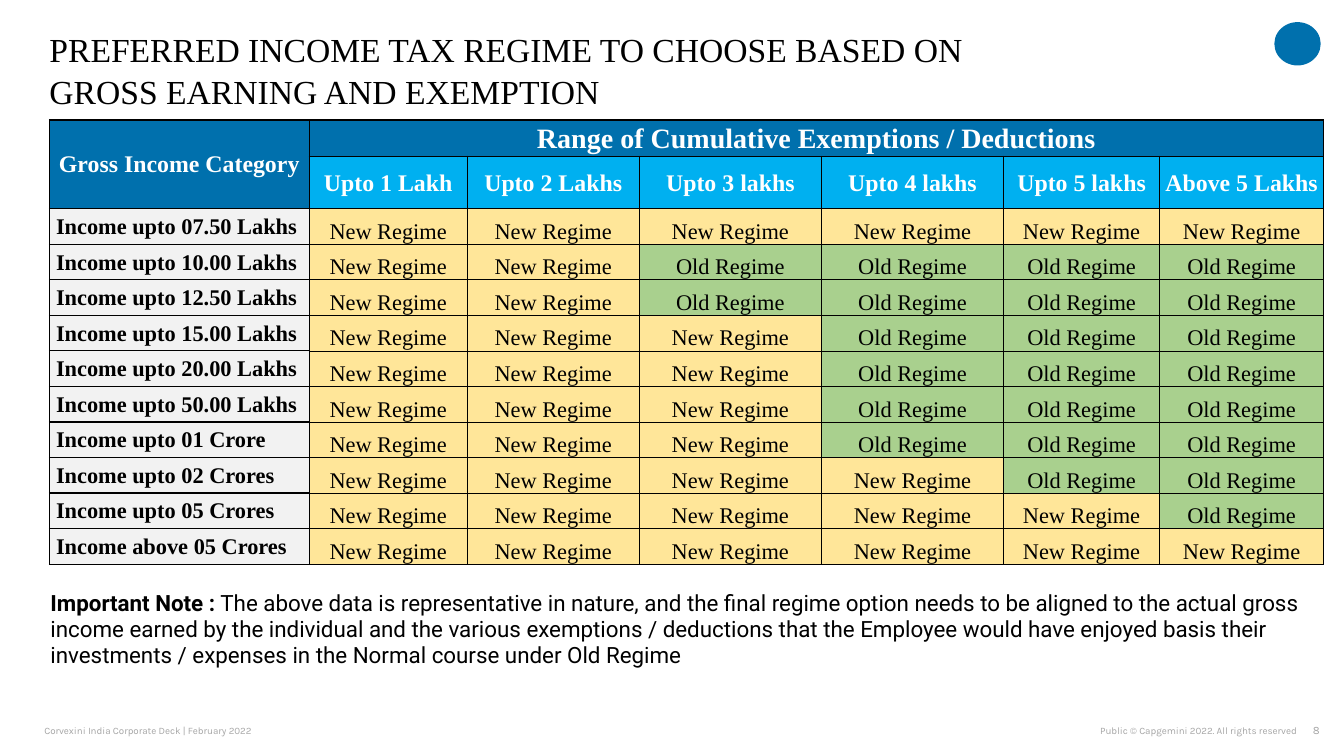
from lxml import etree
from pptx import Presentation
from pptx import util as u
from pptx.dml.color import RGBColor
from pptx.enum import shapes, text
from pptx.oxml import ns

BLUE = RGBColor(0x00, 0x70, 0xAD)
SKY = RGBColor(0x00, 0xB0, 0xF0)
SAND = RGBColor(0xFF, 0xE6, 0x99)
GREEN = RGBColor(0xA9, 0xD0, 0x8E)
PALE = RGBColor(0xF2, 0xF2, 0xF2)
GREY = RGBColor(0xA6, 0xA6, 0xA6)
BLACK = RGBColor(0, 0, 0)
WHITE = RGBColor(0xFF, 0xFF, 0xFF)
SERIF, SANS, SMALL = "Times New Roman", "Roboto", "Karla"
LEFT, MID, RIGHT = text.PP_ALIGN.LEFT, text.PP_ALIGN.CENTER, text.PP_ALIGN.RIGHT
TOP, CORE, BASE = text.MSO_ANCHOR.TOP, text.MSO_ANCHOR.MIDDLE, text.MSO_ANCHOR.BOTTOM

WIDE, HIGH = u.Inches(13.33), u.Inches(7.5)
COLS = [258, 157, 171, 181, 181, 155, 163]
ROWS = [36, 52] + [35.3] * 10
LIMITS = ["Upto 1 Lakh", "Upto 2 Lakhs", "Upto 3 lakhs",
          "Upto 4 lakhs", "Upto 5 lakhs", "Above 5 Lakhs"]
# Each income level with the number of columns where the new regime is better
LEVELS = [("upto 07.50 Lakhs", 6), ("upto 10.00 Lakhs", 2), ("upto 12.50 Lakhs", 2),
          ("upto 15.00 Lakhs", 3), ("upto 20.00 Lakhs", 3), ("upto 50.00 Lakhs", 3),
          ("upto 01 Crore", 3), ("upto 02 Crores", 4), ("upto 05 Crores", 5),
          ("above 05 Crores", 6)]


def place(x, y, w, h):
    """Turn hundredths of the slide's width and height into a box."""
    return [round(n * side / 100) for n, side in zip((x, y, w, h), (WIDE, HIGH) * 2)]


def write(para, words, face, size, color, bold=False, align=LEFT):
    para.alignment = align
    run = para.add_run()
    run.text = words
    font = run.font
    font.name, font.size, font.bold = face, u.Pt(size), bold
    font.color.rgb = color


def inset(item, side, top, base):
    item.margin_left = item.margin_right = u.Inches(side)
    item.margin_top, item.margin_bottom = u.Inches(top), u.Inches(base)


def edge(cell, thin):
    """Draw black borders: half a point on the thin sides, one point elsewhere."""
    props = cell._tc.get_or_add_tcPr()
    for side in "LRTB":
        width = u.Pt(0.5 if side in thin else 1)
        line = etree.SubElement(props, ns.qn(f"a:ln{side}"), w=str(width))
        fill = etree.SubElement(line, ns.qn("a:solidFill"))
        etree.SubElement(fill, ns.qn("a:srgbClr"), val=str(BLACK))


def paint(cell, color, thin, anchor=CORE):
    edge(cell, thin)
    cell.fill.solid()
    cell.fill.fore_color.rgb = color
    cell.vertical_anchor = anchor
    inset(cell, 0.01, 0.01, 0)


def label(cell, words, size, color, bold=True, align=MID):
    write(cell.text_frame.paragraphs[0], words, SERIF, size, color, bold, align)


def grid(slide, box, rows, cols):
    """Add a plain table whose rows and columns share the box by weight."""
    table = slide.shapes.add_table(len(rows), len(cols), *box).table
    table.first_row = table.horz_banding = False
    for row, part in zip(table.rows, rows):
        row.height = round(box[3] * part / sum(rows))
    for col, part in zip(table.columns, cols):
        col.width = round(box[2] * part / sum(cols))
    return table


def add_title(slide, box):
    title = slide.shapes.title
    title.left, title.top, title.width, title.height = box
    frame = title.text_frame
    inset(frame, 0, 0, 0)
    frame.vertical_anchor = CORE
    frame.word_wrap = True
    frame.auto_size = text.MSO_AUTO_SIZE.SHAPE_TO_FIT_TEXT
    lines = ["PREFERRED INCOME TAX REGIME TO CHOOSE BASED ON",
             "GROSS EARNING AND EXEMPTION"]
    for i, words in enumerate(lines):
        para = frame.add_paragraph() if i else frame.paragraphs[0]
        para.space_before, para.space_after = u.Pt(0), u.Pt(6)
        para.line_spacing = u.Pt(24)
        write(para, words, SERIF, 24, BLACK)


def add_rates(slide, box):
    table = grid(slide, box, ROWS, COLS)
    last = len(COLS) - 1
    for c in range(last + 1):
        paint(table.cell(0, c), BLUE, "")
        paint(table.cell(1, c), SKY if c else BLUE, "B" if c else "")
    table.cell(0, 0).merge(table.cell(1, 0))
    table.cell(0, 1).merge(table.cell(0, last))
    label(table.cell(0, 0), "Gross Income Category", 17, WHITE)
    label(table.cell(0, 1), "Range of Cumulative Exemptions / Deductions", 20, WHITE)
    for c, limit in enumerate(LIMITS, 1):
        label(table.cell(1, c), limit, 17, WHITE)
    for r, (level, count) in enumerate(LEVELS, 2):
        head = table.cell(r, 0)
        paint(head, PALE, "R")
        label(head, f" Income {level}", 16, BLACK, align=LEFT)
        for c in range(1, last + 1):
            name, color = ("New", SAND) if c <= count else ("Old", GREEN)
            cell = table.cell(r, c)
            paint(cell, color, "LRTB", BASE)
            label(cell, f"{name} Regime", 16, BLACK, bold=False)


def add_note(slide, box):
    cell = grid(slide, box, [1], [1]).cell(0, 0)
    cell.fill.background()
    cell.vertical_anchor = CORE
    inset(cell, 0.01, 0.01, 0)
    para = cell.text_frame.paragraphs[0]
    write(para, "Important Note :", SANS, 16, BLACK, True)
    write(para, " The above data is representative in nature, and the final regime option "
          "needs to be aligned to the actual gross income earned by the individual and the "
          "various exemptions / deductions that the Employee would have enjoyed basis their "
          "investments / expenses in the Normal course under Old Regime", SANS, 16, BLACK)


def add_foot(slide, box):
    x, y, w, h = box
    parts = [(0, 0.29, "Corvexini India Corporate Deck | February 2022", 7, LEFT, CORE, 0),
             (0.59, 0.392, "Public © Capgemini 2022. All rights reserved", 7, RIGHT, CORE, 0),
             (0.98, 0.02, "8", 8, RIGHT, TOP, 0.05)]
    for start, share, words, size, align, anchor, pad in parts:
        area = slide.shapes.add_textbox(x + round(w * start), y, round(w * share), h)
        frame = area.text_frame
        frame.word_wrap = True
        frame.vertical_anchor = anchor
        inset(frame, 0, pad, pad)
        write(frame.paragraphs[0], words, SMALL, size, GREY, align=align)


def add_mark(slide, box):
    mark = slide.shapes.add_shape(shapes.MSO_SHAPE.OVAL, *box)
    mark.shadow.inherit = False
    mark.fill.solid()
    mark.fill.fore_color.rgb = BLUE
    mark.line.fill.background()


def main():
    deck = Presentation()
    deck.slide_width, deck.slide_height = WIDE, HIGH
    slide = deck.slides.add_slide(deck.slide_layouts[5])
    add_mark(slide, place(94.82, 2.93, 3.45, 5.73))
    add_foot(slide, place(3.3, 95.07, 94.9, 3.2))
    add_title(slide, place(3.68, 4.53, 91.9, 10.27))
    add_rates(slide, place(3.68, 15.87, 94.82, 58.8))
    add_note(slide, place(3.68, 75.33, 93.77, 15.87))
    deck.save("out.pptx")


if __name__ == "__main__":
    main()
